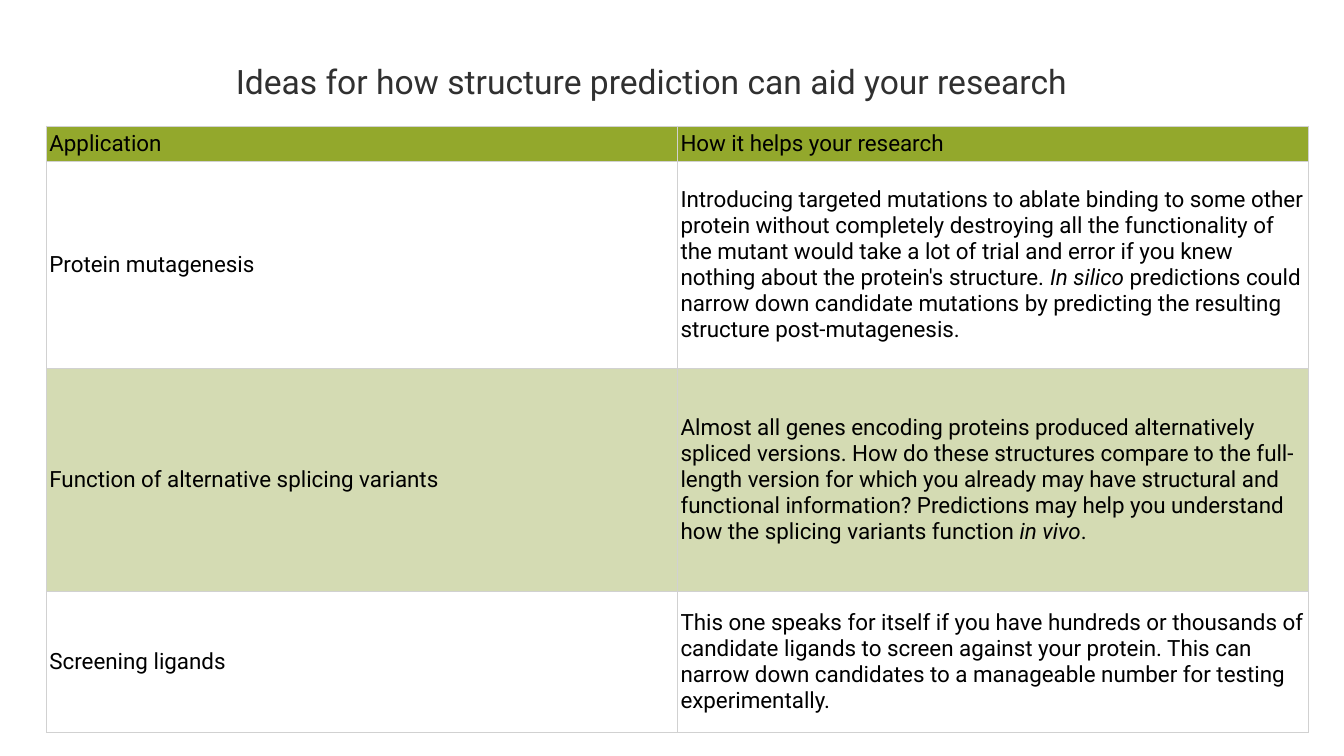
from dataclasses import dataclass

from lxml import etree
from pptx import Presentation
from pptx.dml.color import RGBColor
from pptx.enum.text import MSO_ANCHOR, MSO_AUTO_SIZE
from pptx.oxml.ns import qn
from pptx.util import Inches, Pt

MIDDLE = MSO_ANCHOR.MIDDLE
FIT_SHAPE = MSO_AUTO_SIZE.SHAPE_TO_FIT_TEXT

OLIVE = RGBColor(0x93, 0xA8, 0x2C)
PALE_OLIVE = RGBColor(0xD4, 0xDB, 0xB3)
WHITE = RGBColor(0xFF, 0xFF, 0xFF)
BLACK = RGBColor(0x00, 0x00, 0x00)
CHARCOAL = RGBColor(0x30, 0x30, 0x30)
BORDER_GREY = RGBColor(0xD1, 0xD1, 0xD1)

TITLE_FONT = {"name": "Roboto", "size": Pt(24)}
CELL_FONT = {"name": "Roboto", "size": Pt(16)}
CELL_FORMAT = {
    "vertical_anchor": MIDDLE,
    "margin_left": Inches(0.03),
    "margin_right": Inches(0.03),
    "margin_top": Inches(0.02),
    "margin_bottom": Inches(0.02),
}
COLUMN_WIDTH = 6.26


@dataclass
class Row:
    """One table row; text between asterisks in benefit is italic."""
    application: str
    benefit: str
    height: float
    fill: RGBColor


ROWS = [
    Row("Application", "How it helps your research", 0.35, OLIVE),
    Row("Protein mutagenesis",
        "Introducing targeted mutations to ablate binding to some other protein "
        "without completely destroying all the functionality of the mutant would "
        "take a lot of trial and error if you knew nothing about the protein's "
        "structure. *In silico* predictions could narrow down candidate mutations "
        "by predicting the resulting structure post-mutagenesis.",
        2.05, WHITE),
    Row("Function of alternative splicing variants",
        "Almost all genes encoding proteins produced alternatively spliced versions. "
        "How do these structures compare to the full-length version for which you "
        "already may have structural and functional information? Predictions may "
        "help you understand how the splicing variants function *in vivo*.",
        2.22, PALE_OLIVE),
    Row("Screening ligands",
        "This one speaks for itself if you have hundreds or thousands of candidate "
        "ligands to screen against your protein. This can narrow down candidates to "
        "a manageable number for testing experimentally.",
        1.4, WHITE),
]


def set_attributes(target, values: dict) -> None:
    for name, value in values.items():
        setattr(target, name, value)


def add_runs(p, text: str, font: dict, color: RGBColor) -> None:
    """Add text to a paragraph, with the parts between asterisks in italics."""
    for i, part in enumerate(text.split("*")):
        r = p.add_run()
        r.text = part
        set_attributes(r.font, font)
        r.font.color.rgb = color
        if i % 2:
            r.font.italic = True


def add_borders(cell) -> None:
    tc_pr = cell._tc.get_or_add_tcPr()
    for i, side in enumerate(("lnL", "lnR", "lnT", "lnB")):
        ln = etree.Element(qn(f"a:{side}"), w=str(Pt(0.5)))
        fill = etree.SubElement(ln, qn("a:solidFill"))
        etree.SubElement(fill, qn("a:srgbClr"), val=str(BORDER_GREY))
        tc_pr.insert(i, ln)


def format_cell(cell, text: str, fill: RGBColor) -> None:
    set_attributes(cell, CELL_FORMAT)
    cell.fill.solid()
    cell.fill.fore_color.rgb = fill
    add_borders(cell)
    add_runs(cell.text_frame.paragraphs[0], text, CELL_FONT, BLACK)


def add_title(s, text: str) -> None:
    box = s.shapes.add_textbox(Inches(2.24), Inches(0.56), Inches(8.97), Inches(0.5))
    tf = box.text_frame
    set_attributes(tf, {"word_wrap": False, "auto_size": FIT_SHAPE})
    add_runs(tf.paragraphs[0], text, TITLE_FONT, CHARCOAL)


def add_application_table(s, rows: list[Row]) -> None:
    height = sum(row.height for row in rows)
    table = s.shapes.add_table(len(rows), 2, Inches(0.46), Inches(1.25),
                               Inches(2 * COLUMN_WIDTH), Inches(height)).table
    for column in table.columns:
        column.width = Inches(COLUMN_WIDTH)
    for i, row in enumerate(rows):
        table.rows[i].height = Inches(row.height)
        for j, text in enumerate((row.application, row.benefit)):
            format_cell(table.cell(i, j), text, row.fill)


def main() -> None:
    prs = Presentation()
    set_attributes(prs, {"slide_width": Inches(13.33), "slide_height": Inches(7.5)})
    s = prs.slides.add_slide(prs.slide_layouts[6])
    add_application_table(s, ROWS)
    add_title(s, "Ideas for how structure prediction can aid your research")
    prs.save("out.pptx")


if __name__ == "__main__":
    main()
